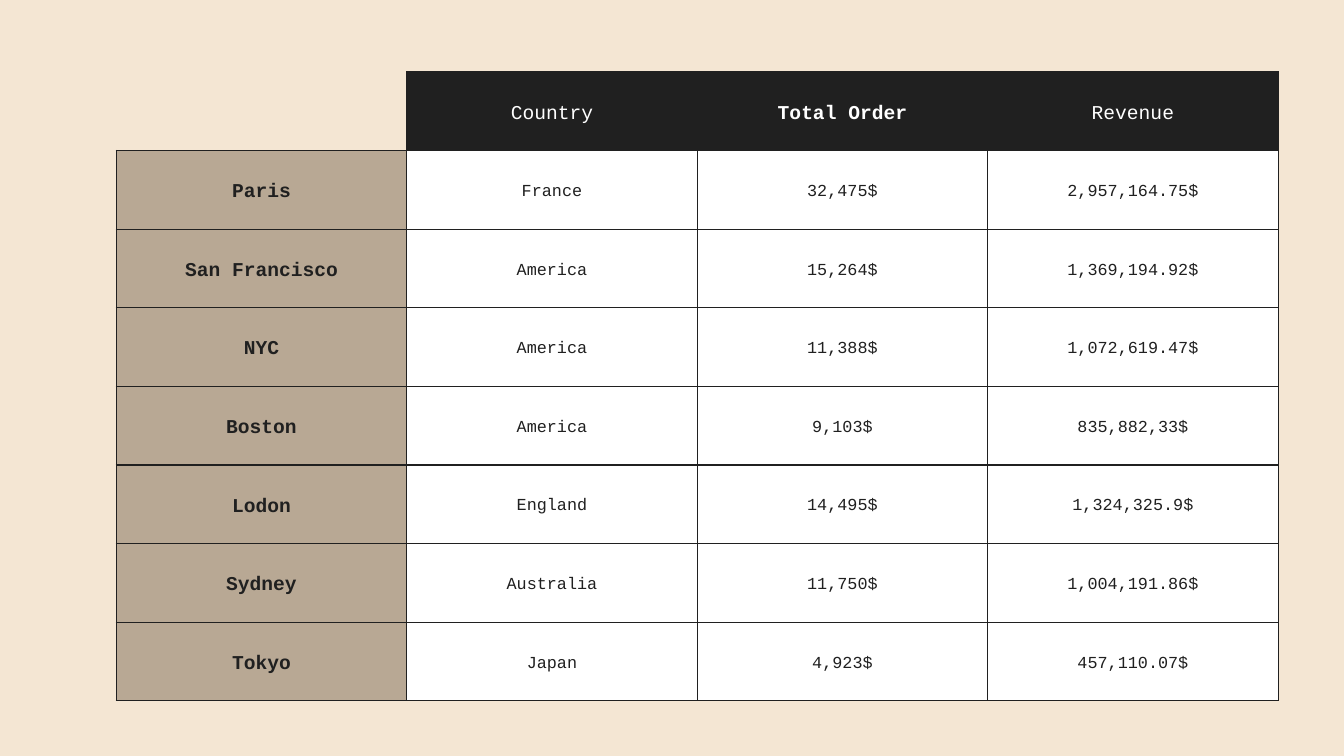
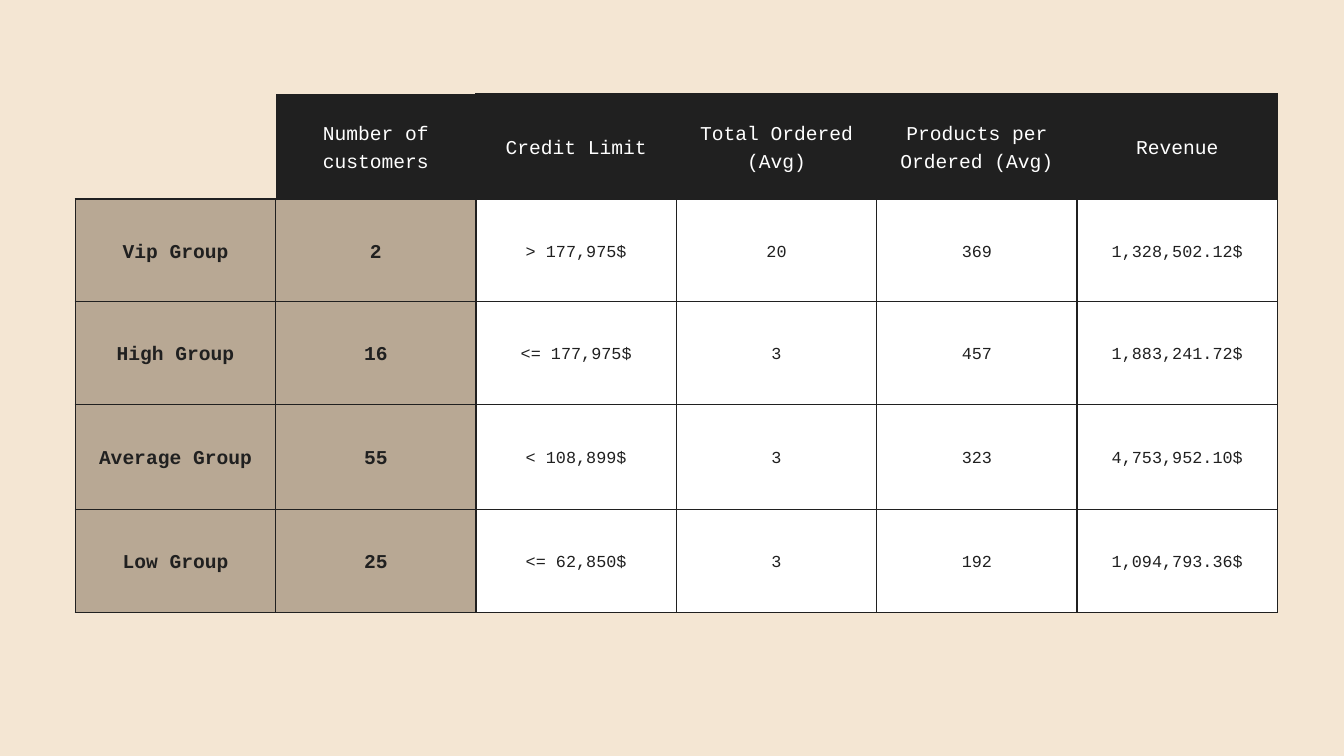
import pptx
import pptx.dml.color
import pptx.enum.text
import pptx.oxml
import pptx.oxml.ns
import pptx.util
from pptx.util import Inches

COLORS = {"sand": "F4E6D3", "ink": "202020", "tan": "B8A894", "white": "FFFFFF"}
FONT = "Courier New"
LABEL_SIZE, VALUE_SIZE = 21, 18
LINE_FACTOR = 1.4
CELL_MARGIN = Inches(0.21)
BORDER_WIDTH = 1.5

CITY_HEADERS = ["Country", "Total Order", "Revenue"]
CITY_ROWS = [
    ["Paris", "France", "32,475$", "2,957,164.75$"],
    ["San Francisco", "America", "15,264$", "1,369,194.92$"],
    ["NYC", "America", "11,388$", "1,072,619.47$"],
    ["Boston", "America", "9,103$", "835,882,33$"],
    ["Lodon", "England", "14,495$", "1,324,325.9$"],
    ["Sydney", "Australia", "11,750$", "1,004,191.86$"],
    ["Tokyo", "Japan", "4,923$", "457,110.07$"],
]
GROUP_HEADERS = ["Number of customers", "Credit Limit", "Total Ordered (Avg)",
                 "Products per Ordered (Avg)", "Revenue"]
GROUP_ROWS = [
    ["Vip Group", "2", "> 177,975$", "20", "369", "1,328,502.12$"],
    ["High Group", "16", "<= 177,975$", "3", "457", "1,883,241.72$"],
    ["Average Group", "55", "< 108,899$", "3", "323", "4,753,952.10$"],
    ["Low Group", "25", "<= 62,850$", "3", "192", "1,094,793.36$"],
]


def color(name):
    return pptx.dml.color.RGBColor.from_string(COLORS[name])


def add_page(deck):
    page = deck.slides.add_slide(deck.slide_layouts[6])
    page.background.fill.solid()
    page.background.fill.fore_color.rgb = color("sand")
    return page


def set_borders(cell, name, width):
    """Draw all four sides; call before filling, as fills follow lines in the XML."""
    properties = cell._tc.get_or_add_tcPr()
    for side in ("lnL", "lnR", "lnT", "lnB"):
        properties.append(pptx.oxml.parse_xml(
            f'<a:{side} {pptx.oxml.ns.nsdecls("a")} w="{pptx.util.Pt(width)}">'
            f'<a:solidFill><a:srgbClr val="{COLORS[name]}"/></a:solidFill></a:{side}>'))


def fill_cell(cell, fill):
    cell.fill.solid()
    cell.fill.fore_color.rgb = color(fill)


def write_cell(cell, text, size, text_color, bold):
    cell.margin_left = cell.margin_right = CELL_MARGIN
    cell.margin_top = cell.margin_bottom = CELL_MARGIN
    cell.vertical_anchor = pptx.enum.text.MSO_ANCHOR.MIDDLE
    para = cell.text_frame.paragraphs[0]
    para.alignment = pptx.enum.text.PP_ALIGN.CENTER
    para.line_spacing = pptx.util.Pt(size * LINE_FACTOR)
    span = para.add_run()
    span.text = text
    span.font.name = FONT
    span.font.size = pptx.util.Pt(size)
    span.font.bold = bold
    span.font.color.rgb = color(text_color)


def add_data_table(page, left, top, width, row_heights, headers, rows,
                   label_columns=1, bold_header=None, borderless_header=None):
    """Add a table with an empty corner, dark headers and tan label columns."""
    column_count = len(headers) + 1
    frame = page.shapes.add_table(len(rows) + 1, column_count, Inches(left), Inches(top),
                                  Inches(width), Inches(sum(row_heights)))
    table = frame.table
    table.first_row = table.horz_banding = False
    for column in table.columns:
        column.width = Inches(width / column_count)
    for row, height in zip(table.rows, row_heights):
        row.height = Inches(height)

    corner = table.cell(0, 0)
    set_borders(corner, "white", 0)
    corner.fill.background()
    for index, header in enumerate(headers, start=1):
        cell = table.cell(0, index)
        if header == borderless_header:
            set_borders(cell, "white", 0)
        else:
            set_borders(cell, "ink", BORDER_WIDTH)
        fill_cell(cell, "ink")
        write_cell(cell, header, LABEL_SIZE, "white", header == bold_header)
    for row_index, values in enumerate(rows, start=1):
        for column_index, value in enumerate(values):
            cell = table.cell(row_index, column_index)
            is_label = column_index < label_columns
            set_borders(cell, "ink", BORDER_WIDTH)
            fill_cell(cell, "tan" if is_label else "white")
            write_cell(cell, value, LABEL_SIZE if is_label else VALUE_SIZE, "ink", is_label)


def main():
    deck = pptx.Presentation()
    deck.slide_width = Inches(20)
    deck.slide_height = Inches(11.25)
    add_data_table(add_page(deck), 1.73, 1.07, 17.29, [1.17] * 8, CITY_HEADERS, CITY_ROWS,
                   bold_header="Total Order")
    add_data_table(add_page(deck), 1.12, 1.4, 17.89, [1.56, 1.53, 1.53, 1.56, 1.53],
                   GROUP_HEADERS, GROUP_ROWS, label_columns=2,
                   borderless_header="Number of customers")
    deck.save("out.pptx")


if __name__ == "__main__":
    main()
